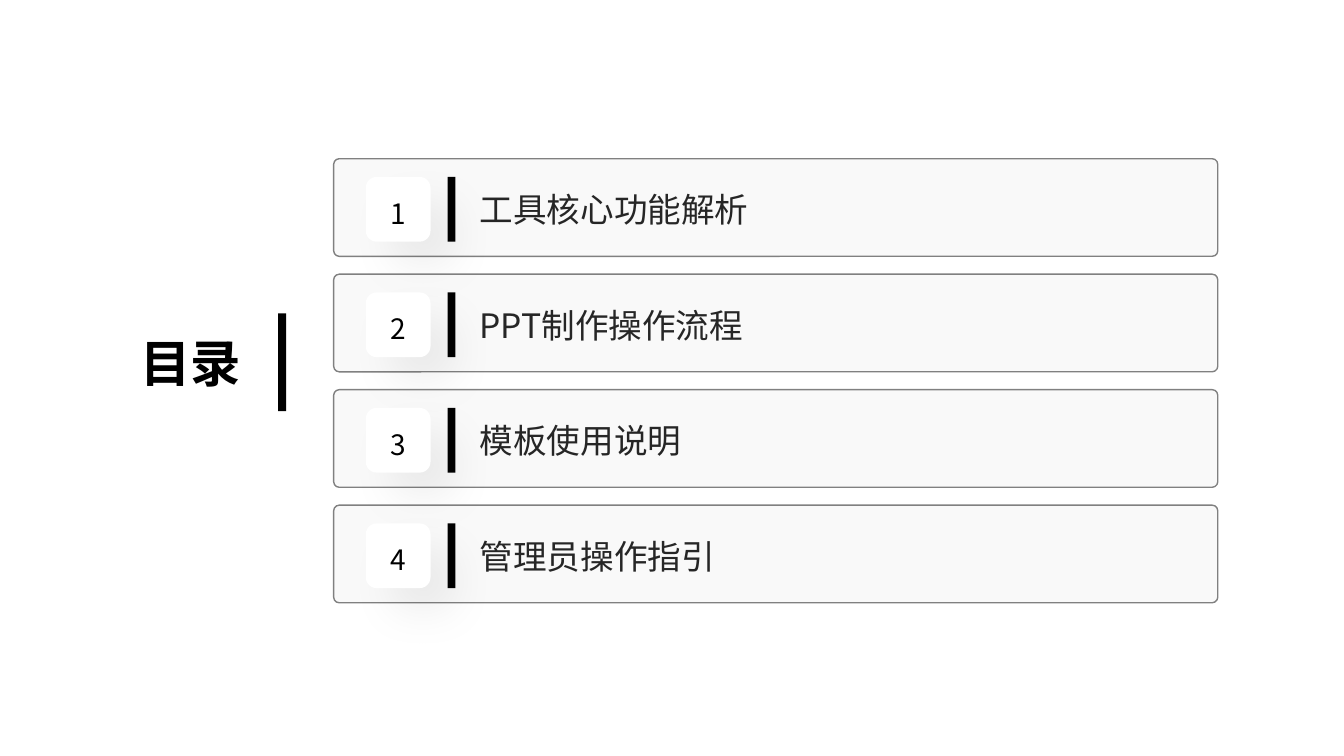
from lxml.etree import SubElement
from pptx import Presentation
from pptx.dml.color import RGBColor
from pptx.enum.shapes import MSO_SHAPE as Shape
from pptx.enum.text import MSO_ANCHOR as Anchor, PP_ALIGN as Align
from pptx.oxml.ns import qn
from pptx.util import Cm, Pt

FONT = "Noto Sans CJK SC"
BLACK, WHITE, INK, CARD, BORDER = "000000", "FFFFFF", "262626", "F2F2F2", "808080"
TOPICS = ["工具核心功能解析", "PPT制作操作流程", "模板使用说明", "管理员操作指引"]


def rgb(value):
    return RGBColor.from_string(value)


class AgendaSlide:
    """Holds the font and the slide, and draws each kind of element."""

    def __init__(self, slide, font):
        self.slide, self.font = slide, font

    def group(self):
        return self.slide.shapes.add_group_shape().shapes

    def block(self, parent, box, fill, kind=Shape.RECTANGLE, line=None, radius=None):
        block = parent.add_shape(kind, *map(Cm, box))
        block.shadow.inherit = False
        block.fill.solid()
        block.fill.fore_color.rgb = rgb(fill)
        if line:
            block.line.color.rgb = rgb(line)
            block.line.width = Pt(1)
        else:
            block.line.fill.background()
        if radius is not None:
            block.adjustments[0] = radius
        return block

    def label(self, parent, box, text, size, color, align=Align.LEFT, bold=False):
        frame = parent.add_textbox(*map(Cm, box)).text_frame
        frame.word_wrap = True
        frame.vertical_anchor = Anchor.MIDDLE
        paragraph = frame.paragraphs[0]
        paragraph.alignment = align
        run = paragraph.add_run()
        run.text = text
        for name, value in {"name": self.font, "size": Pt(size), "bold": bold}.items():
            setattr(run.font, name, value)
        run.font.color.rgb = rgb(color)
        SubElement(run.font._element, qn("a:ea"), typeface=self.font)

    def opacity(self, block, percent):
        color = block.fill._xPr.find(qn("a:solidFill"))[0]
        SubElement(color, qn("a:alpha"), val=str(percent * 1000))

    def soft_shadow(self, block, color, percent, blur, distance, angle):
        effects = block._element.spPr.find(qn("a:effectLst"))
        shadow = SubElement(effects, qn("a:outerShdw"), blurRad=str(Pt(blur)),
                            dist=str(Pt(distance)), dir=str(angle * 60000),
                            algn="tl", rotWithShape="0")
        tint = SubElement(shadow, qn("a:srgbClr"), val=color)
        SubElement(tint, qn("a:alpha"), val=str(percent * 1000))


def main():
    deck = Presentation()
    deck.slide_width, deck.slide_height = Cm(33.87), Cm(19.05)
    slide = deck.slides.add_slide(deck.slide_layouts[6])
    agenda = AgendaSlide(slide, FONT)

    # Numbered topic cards
    first_top, pitch, card_height = 4, 2.91, 2.46
    badge_left, badge_size, inset = 9.22, 1.63, 0.46
    for index, topic in enumerate(TOPICS):
        top = first_top + index * pitch
        row = top + inset
        entry = agenda.group()
        card = agenda.block(entry, (8.41, top, 22.28, card_height), CARD,
                            Shape.ROUNDED_RECTANGLE, BORDER, 0.057)
        agenda.opacity(card, 45)
        badge = agenda.block(entry, (badge_left, row, badge_size, badge_size),
                             WHITE, Shape.ROUNDED_RECTANGLE)
        agenda.soft_shadow(badge, BLACK, 5, 30, 25, 45)
        agenda.label(entry, (11.84, row, 18.85, badge_size), topic, 24, INK)
        agenda.label(entry, (badge_left, top + 0.83, 1.65, 1.09), str(index + 1),
                     20, BLACK, Align.CENTER)
        agenda.block(entry, (11.28, row, 0.2, badge_size), BLACK)

    # Heading with its bar
    agenda.label(slide.shapes, (0.89, 7.9, 5.44, card_height), "目录", 36, BLACK,
                 Align.RIGHT, bold=True)
    agenda.block(slide.shapes, (7.01, 7.9, 0.2, card_height), BLACK)

    deck.save("out.pptx")


if __name__ == "__main__":
    main()
